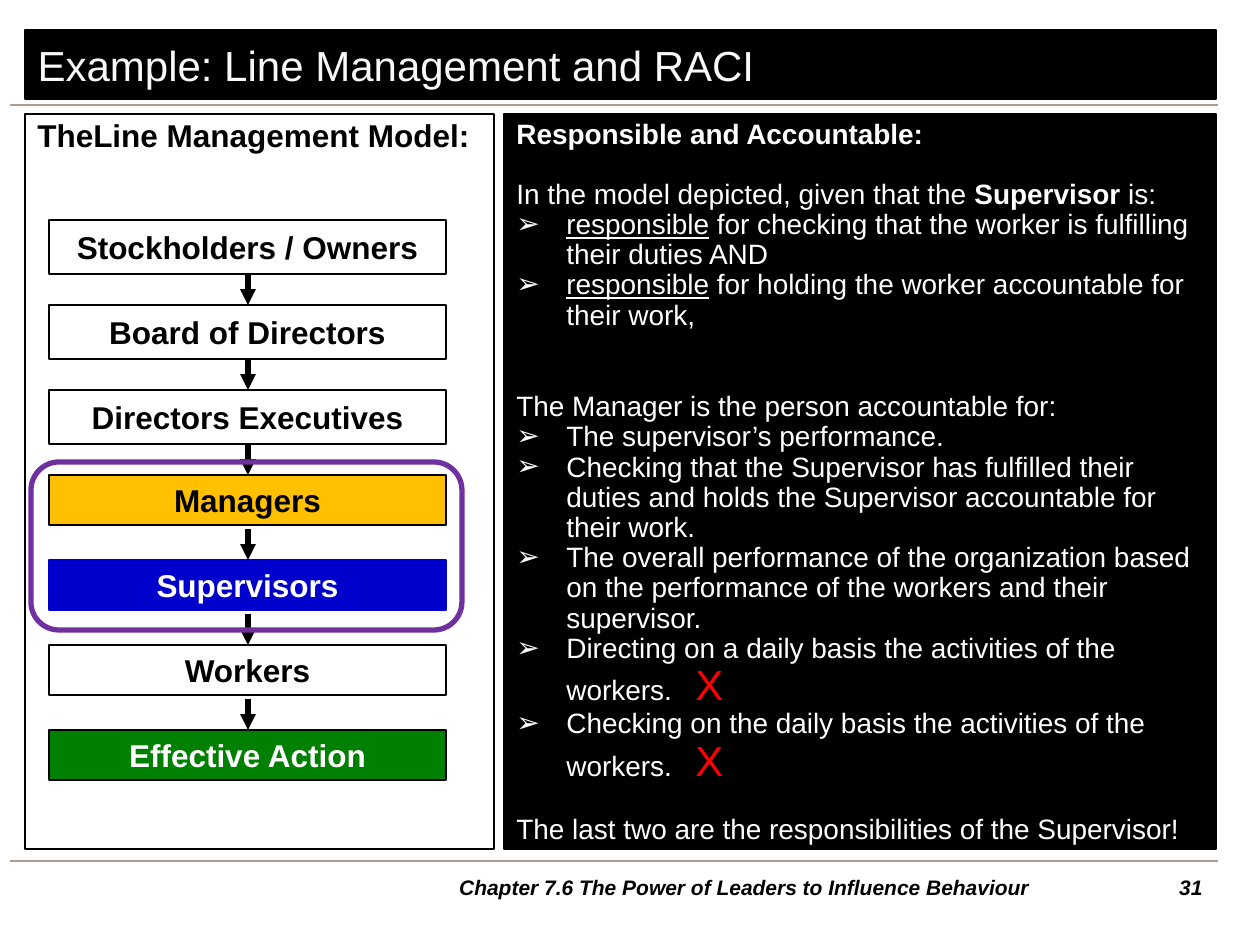
from lxml.etree import SubElement
from pptx import Presentation
from pptx.dml.color import RGBColor
from pptx.enum.shapes import MSO_CONNECTOR, MSO_SHAPE
from pptx.enum.text import MSO_ANCHOR, PP_ALIGN
from pptx.oxml.ns import qn
from pptx.util import Emu, Pt

COLORS = {
    "black": "000000", "white": "FFFFFF", "title": "F8F8F8", "rule": "AA9C8F",
    "amber": "FFC000", "blue": "0000CC", "green": "008000",
    "purple": "7030A0", "red": "FF0000",
}
SCALE = 914400 / 126


def px(length):
    return Emu(round(length * SCALE))


def color(name):
    return RGBColor.from_string(COLORS[name])


class SlideBuilder:
    font = "Arial"

    def __init__(self, deck):
        self.slide = deck.slides.add_slide(deck.slide_layouts[5])

    def style(self, font, size, ink, bold=False, italic=False):
        font.name, font.size = self.font, Pt(size)
        font.bold, font.italic = bold, italic
        font.color.rgb = color(ink)

    def paint(self, shape, fill, line, width=0.75):
        if fill:
            shape.fill.solid()
            shape.fill.fore_color.rgb = color(fill)
        else:
            shape.fill.background()
        shape.line.color.rgb = color(line)
        shape.line.width = Pt(width)

    def title(self, text, left, top, width, height):
        shape = self.slide.shapes.title
        shape.left, shape.top = px(left), px(top)
        shape.width, shape.height = px(width), px(height)
        self.paint(shape, "black", "black")
        shape.text_frame.vertical_anchor = MSO_ANCHOR.MIDDLE
        para = shape.text_frame.paragraphs[0]
        para.text, para.alignment = text, PP_ALIGN.LEFT
        self.style(para.font, 24, "title")

    def box(self, left, top, width, height, fill=None, line="black",
            weight=0.75, kind=MSO_SHAPE.RECTANGLE):
        shape = self.slide.shapes.add_shape(
            kind, px(left), px(top), px(width), px(height))
        shape.shadow.inherit = False
        self.paint(shape, fill, line, weight)
        shape.text_frame.word_wrap = True
        return shape

    def step(self, text, left, top, width, height, fill, line, ink):
        frame = self.box(left, top, width, height, fill, line).text_frame
        frame.vertical_anchor = MSO_ANCHOR.MIDDLE
        para = frame.paragraphs[0]
        para.text, para.alignment = text, PP_ALIGN.CENTER
        self.style(para.font, 18, ink, bold=True)

    def line(self, start, end, ink, width, arrow=False):
        connector = self.slide.shapes.add_connector(
            MSO_CONNECTOR.STRAIGHT, *map(px, start + end))
        connector.line.color.rgb = color(ink)
        connector.line.width = Pt(width)
        properties = connector._element.spPr
        if arrow:
            SubElement(properties.find(qn("a:ln")), qn("a:tailEnd"), type="triangle")
        SubElement(properties, qn("a:effectLst"))

    def footer(self, text, left, top, width, height, alignment):
        frame = self.slide.shapes.add_textbox(
            px(left), px(top), px(width), px(height)).text_frame
        frame.word_wrap = True
        para = frame.paragraphs[0]
        para.text, para.alignment = text, alignment
        self.style(para.font, 12, "black", bold=True, italic=True)

    def panel(self, left, top, width, height, fill, ink, size, paragraphs):
        frame = self.box(left, top, width, height, fill).text_frame
        frame.vertical_anchor = MSO_ANCHOR.TOP
        for index, (kind, before, parts) in enumerate(paragraphs):
            para = frame.add_paragraph() if index else frame.paragraphs[0]
            para.alignment = PP_ALIGN.LEFT
            para.line_spacing = 0.9
            para.space_before = Pt(before)
            if kind == "bullet":
                self.bullet(para)
            self.style(para.font, size, ink, bold=kind == "heading")
            for text, mark in parts:
                span = para.add_run()
                span.text = text
                if mark == "bold":
                    span.font.bold = True
                elif mark == "underline":
                    span.font.underline = True
                elif mark == "cross":
                    self.style(span.font, 24, "red")

    def bullet(self, para):
        properties = para._p.get_or_add_pPr()
        properties.set("marL", str(px(50)))
        properties.set("indent", str(-px(50)))
        SubElement(properties, qn("a:buFont"), typeface=self.font)
        SubElement(properties, qn("a:buChar"), char="➢")
        tabs = SubElement(properties, qn("a:tabLst"))
        SubElement(tabs, qn("a:tab"), pos=str(px(179)), algn="l")


def plain(kind, text, before=0):
    return kind, before, [(text, None)]


def duty(text):
    return "bullet", 0, [("responsible", "underline"), (text, None)]


def crossed(text):
    return "bullet", 0, [(text + "\t", None), ("X", "cross")]


STEPS = [
    ("Stockholders / Owners", 54, "white", "black", "black"),
    ("Board of Directors", 54, "white", "black", "black"),
    ("Directors Executives", 54, "white", "black", "black"),
    ("Managers", 50, "amber", "black", "black"),
    ("Supervisors", 50, "blue", "blue", "white"),
    ("Workers", 50, "white", "black", "black"),
    ("Effective Action", 50, "green", "black", "white"),
]
DUTIES = [
    plain("heading", "Responsible and Accountable:"),
    ("text", 17, [("In the model depicted, given that the ", None),
                  ("Supervisor ", "bold"), ("is:", None)]),
    duty(" for checking that the worker is fulfilling their duties AND"),
    duty(" for holding the worker accountable for their work,"),
    plain("text", "The Manager is the person accountable for:", 35),
    plain("bullet", "The supervisor’s performance."),
    plain("bullet", "Checking that the Supervisor has fulfilled their duties "
          "and holds the Supervisor accountable for their work."),
    plain("bullet", "The overall performance of the organization based on the "
          "performance of the workers and their supervisor."),
    crossed("Directing on a daily basis the activities of the workers."),
    crossed("Checking on the daily basis the activities of the workers."),
    plain("text", "The last two are the responsibilities of the Supervisor!", 17),
]


def main():
    deck = Presentation()
    deck.slide_width, deck.slide_height = px(1260), px(945)
    page = SlideBuilder(deck)
    for y in (105, 861):
        page.line((10, y), (1218, y), "rule", 0.75)
    page.title("Example: Line Management and RACI", 25, 30, 1191, 69)

    first, pitch = 220, 85
    for index, (text, height, fill, line, ink) in enumerate(STEPS):
        page.step(text, 49, first + index * pitch, 397, height, fill, line, ink)
    page.panel(25, 114, 469, 735, None, "black", 18,
               [plain("heading", "TheLine Management Model:")])
    for index in range(1, len(STEPS)):
        end = first + index * pitch
        page.line((248, end - 31), (248, end), "black", 3, arrow=True)

    page.panel(504, 114, 712, 735, "black", "white", 16, DUTIES)
    page.box(31, 462, 431, 168, None, "purple", 3, MSO_SHAPE.ROUNDED_RECTANGLE)
    page.footer("Chapter 7.6 The Power of Leaders to Influence Behaviour",
                372, 868, 745, 39, PP_ALIGN.CENTER)
    page.footer("31", 1142, 868, 73, 39, PP_ALIGN.RIGHT)
    deck.save("out.pptx")


if __name__ == "__main__":
    main()
